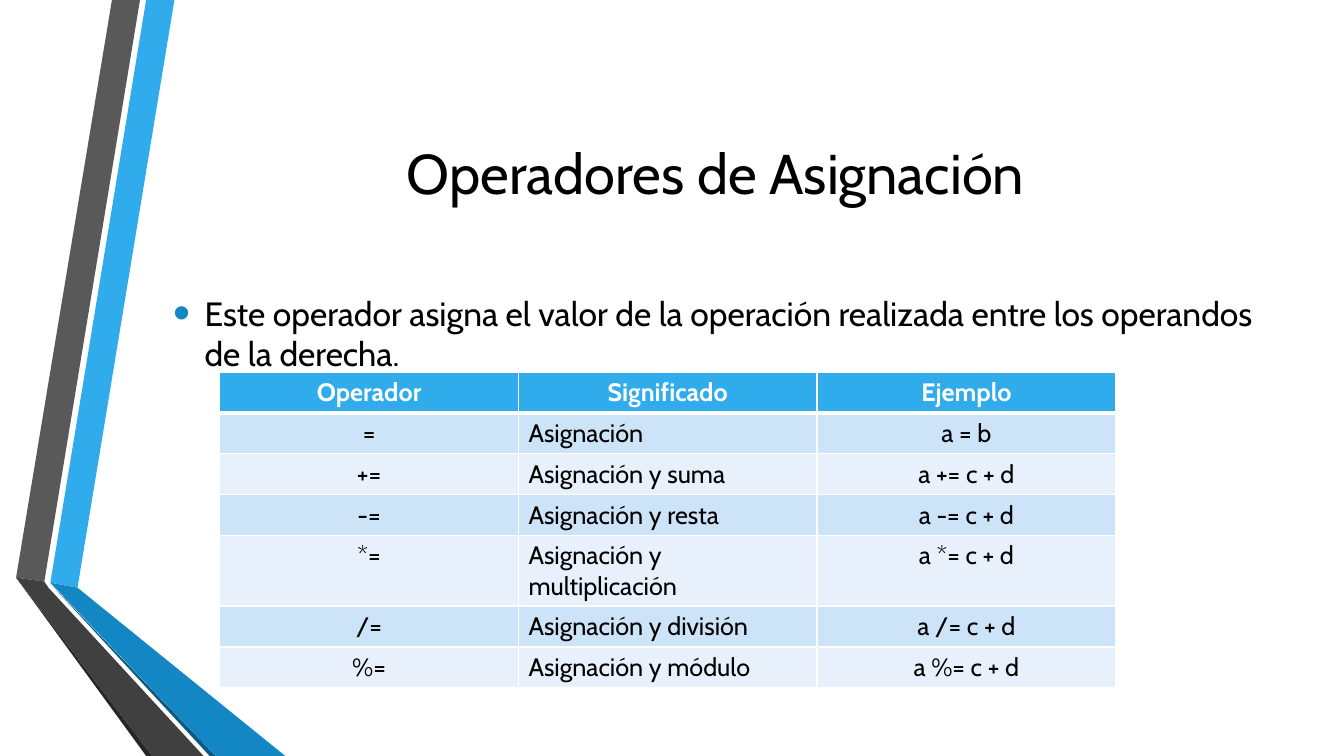
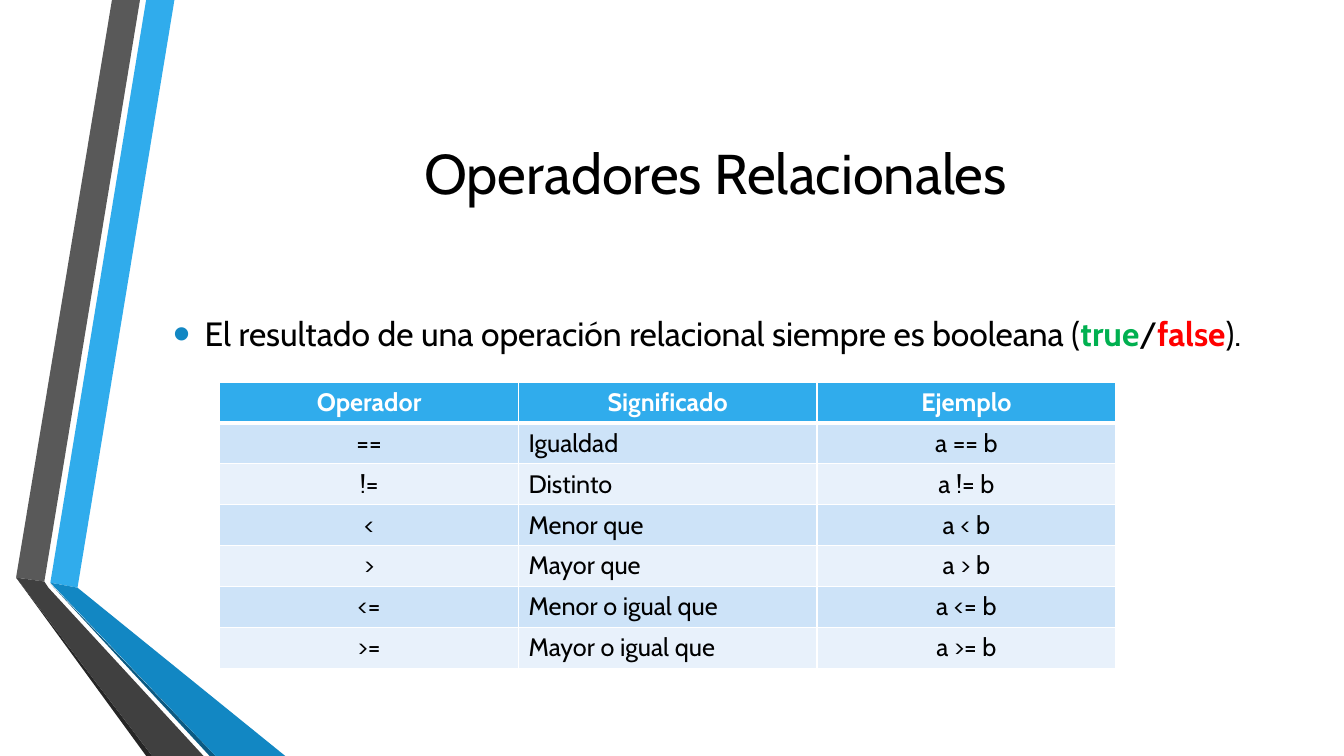
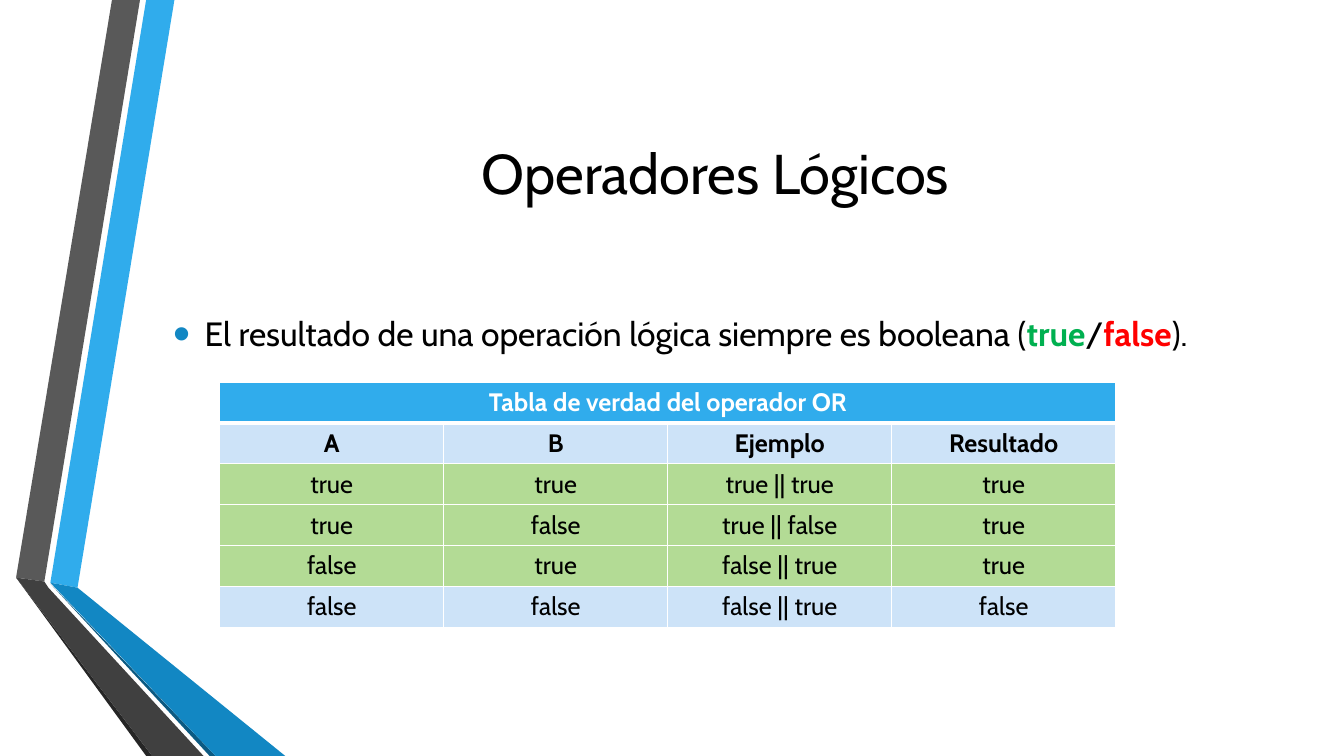
from lxml.etree import SubElement
from pptx import Presentation
from pptx.dml.color import RGBColor as RGB
from pptx.enum.text import MSO_ANCHOR as Anchor, PP_ALIGN as Align
from pptx.oxml.ns import qn
from pptx.util import Pt

FONT = "Cabin"
BLACK = RGB(0x00, 0x00, 0x00)
WHITE = RGB(0xFF, 0xFF, 0xFF)
SKY = RGB(0x30, 0xAC, 0xEC)
BLUE = RGB(0x12, 0x87, 0xC3)
NAVY = RGB(0x0C, 0x5A, 0x82)
GRAY = RGB(0x59, 0x59, 0x59)
DARK_GRAY = RGB(0x40, 0x40, 0x40)
CHARCOAL = RGB(0x26, 0x26, 0x26)
BAND = RGB(0xCD, 0xE3, 0xF8)
PALE_BAND = RGB(0xE8, 0xF1, 0xFB)
LIME = RGB(0xB3, 0xDB, 0x95)
GREEN = RGB(0x00, 0xB0, 0x50)
RED = RGB(0xFF, 0x00, 0x00)

# Corner points of the folded ribbons, in points
RIBBONS = [
    (SKY, [(36, 416.2), (55.4, 419.8), (124.6, 0), (104.4, 0)]),
    (GRAY, [(100, 0), (80, 0), (11.5, 412.6), (31.7, 415.4)]),
    (CHARCOAL, [(11.5, 412.6), (104.4, 540), (108.7, 540)]),
    (NAVY, [(36, 416.9), (149.8, 540), (154.1, 540)]),
    (BLUE, [(36, 416.2), (154.1, 540), (203.8, 540), (55.4, 419.8)]),
    (DARK_GRAY, [(145.4, 540), (34.6, 419.8), (31.7, 415.4),
                 (11.5, 412.6), (108.7, 540)]),
]

TITLE_BOX = (116.6, 54, 789, 138)
INTRO_BOX = (116.6, 200, 789, 76)
INTRO_INDENT = Pt(22.5)
TABLE_LEFT, TABLE_WIDTH, ROW_HEIGHT = 157, 640, 29.2

OPERATOR_HEADER = ("Operador", "Significado", "Ejemplo")
OPERATOR_STYLE = {
    "fills": [SKY] + [BAND, PALE_BAND] * 3,
    "bold_rows": 1,
    "left_column": 1,
}
TRUTH_STYLE = {
    "fills": [SKY, BAND, LIME, LIME, LIME, BAND],
    "bold_rows": 2,
    "left_column": None,
}


def boolean_intro(kind):
    return [
        (f"El resultado de una operación {kind} siempre es booleana (", BLACK, False),
        ("true", GREEN, True),
        ("/", BLACK, False),
        ("false", RED, True),
        (").", BLACK, False),
    ]


SLIDES = [
    {
        "title": "Operadores de Asignación",
        "intro": [("Este operador asigna el valor de la operación realizada "
                   "entre los operandos de la derecha.", BLACK, False)],
        "table_top": 265.7,
        "style": OPERATOR_STYLE,
        "rows": [
            OPERATOR_HEADER,
            ("=", "Asignación", "a = b"),
            ("+=", "Asignación y suma", "a += c + d"),
            ("-=", "Asignación y resta", "a -= c + d"),
            ("*=", "Asignación y multiplicación", "a *= c + d"),
            ("/=", "Asignación y división", "a /= c + d"),
            ("%=", "Asignación y módulo", "a %= c + d"),
        ],
    },
    {
        "title": "Operadores Relacionales",
        "intro": boolean_intro("relacional"),
        "table_top": 272.9,
        "style": OPERATOR_STYLE,
        "rows": [
            OPERATOR_HEADER,
            ("==", "Igualdad", "a == b"),
            ("!=", "Distinto", "a != b"),
            ("<", "Menor que", "a < b"),
            (">", "Mayor que", "a > b"),
            ("<=", "Menor o igual que", "a <= b"),
            (">=", "Mayor o igual que", "a >= b"),
        ],
    },
    {
        "title": "Operadores Lógicos",
        "intro": boolean_intro("lógica"),
        "table_top": 272.9,
        "style": TRUTH_STYLE,
        "rows": [
            ("Tabla de verdad del operador OR",),
            ("A", "B", "Ejemplo", "Resultado"),
            ("true", "true", "true || true", "true"),
            ("true", "false", "true || false", "true"),
            ("false", "true", "false || true", "true"),
            ("false", "false", "false || true", "false"),
        ],
    },
]


def draw_ribbons(slide):
    for color, corners in RIBBONS:
        start, *rest = [(Pt(x), Pt(y)) for x, y in corners]
        builder = slide.shapes.build_freeform(*start)
        builder.add_line_segments(rest, close=True)
        ribbon = builder.convert_to_shape()
        ribbon.fill.solid()
        ribbon.fill.fore_color.rgb = color
        ribbon.line.fill.background()
        ribbon.shadow.inherit = False


def add_run(paragraph, text, size, color, bold=False):
    run = paragraph.add_run()
    run.text = text
    run.font.name = FONT
    run.font.size = Pt(size)
    run.font.bold = bold
    run.font.color.rgb = color


def add_paragraph_box(slide, box):
    """Add a wrapping, vertically centred text box; return its paragraph."""
    frame = slide.shapes.add_textbox(*map(Pt, box)).text_frame
    frame.word_wrap = True
    frame.vertical_anchor = Anchor.MIDDLE
    return frame.paragraphs[0]


def add_bullet(paragraph):
    props = paragraph._p.get_or_add_pPr()
    props.set("marL", str(INTRO_INDENT))
    props.set("indent", str(-INTRO_INDENT))
    SubElement(SubElement(props, qn("a:buClr")), qn("a:srgbClr"), val=str(BLUE))
    SubElement(props, qn("a:buSzPct"), val="145000")
    SubElement(props, qn("a:buFont"), typeface="Arial")
    SubElement(props, qn("a:buChar"), char="•")


def set_borders(cell, top, bottom):
    """Draw white borders; must run before the cell gets its fill."""
    props = cell._tc.get_or_add_tcPr()
    for side, width in (("L", 1), ("R", 1), ("T", top), ("B", bottom)):
        border = SubElement(props, qn(f"a:ln{side}"), w=str(Pt(width)))
        fill = SubElement(border, qn("a:solidFill"))
        SubElement(fill, qn("a:srgbClr"), val=str(WHITE))


def draw_table(slide, rows, top, style):
    column_count = len(rows[-1])
    table = slide.shapes.add_table(
        len(rows), column_count, Pt(TABLE_LEFT), Pt(top),
        Pt(TABLE_WIDTH), Pt(ROW_HEIGHT * len(rows))).table
    table.horz_banding = False
    for column in table.columns:
        column.width = Pt(TABLE_WIDTH / column_count)

    for r, (texts, fill) in enumerate(zip(rows, style["fills"])):
        table.rows[r].height = Pt(ROW_HEIGHT)
        for c in range(column_count):
            cell = table.cell(r, c)
            set_borders(cell, top=3 if r == 1 else 1, bottom=3 if r == 0 else 1)
            cell.fill.solid()
            cell.fill.fore_color.rgb = fill
        if len(texts) < column_count:
            table.cell(r, 0).merge(table.cell(r, column_count - 1))
        for c, text in enumerate(texts):
            paragraph = table.cell(r, c).text_frame.paragraphs[0]
            is_left = r > 0 and c == style["left_column"]
            paragraph.alignment = Align.LEFT if is_left else Align.CENTER
            add_run(paragraph, text, 18, BLACK if r else WHITE,
                    r < style["bold_rows"])


def main():
    deck = Presentation()
    deck.slide_width, deck.slide_height = Pt(960), Pt(540)
    for content in SLIDES:
        slide = deck.slides.add_slide(deck.slide_layouts[6])
        draw_ribbons(slide)
        title = add_paragraph_box(slide, TITLE_BOX)
        title.alignment = Align.CENTER
        add_run(title, content["title"], 40, BLACK)
        intro = add_paragraph_box(slide, INTRO_BOX)
        add_bullet(intro)
        for text, color, bold in content["intro"]:
            add_run(intro, text, 24, color, bold)
        draw_table(slide, content["rows"], content["table_top"], content["style"])
    deck.save("out.pptx")


if __name__ == "__main__":
    main()
